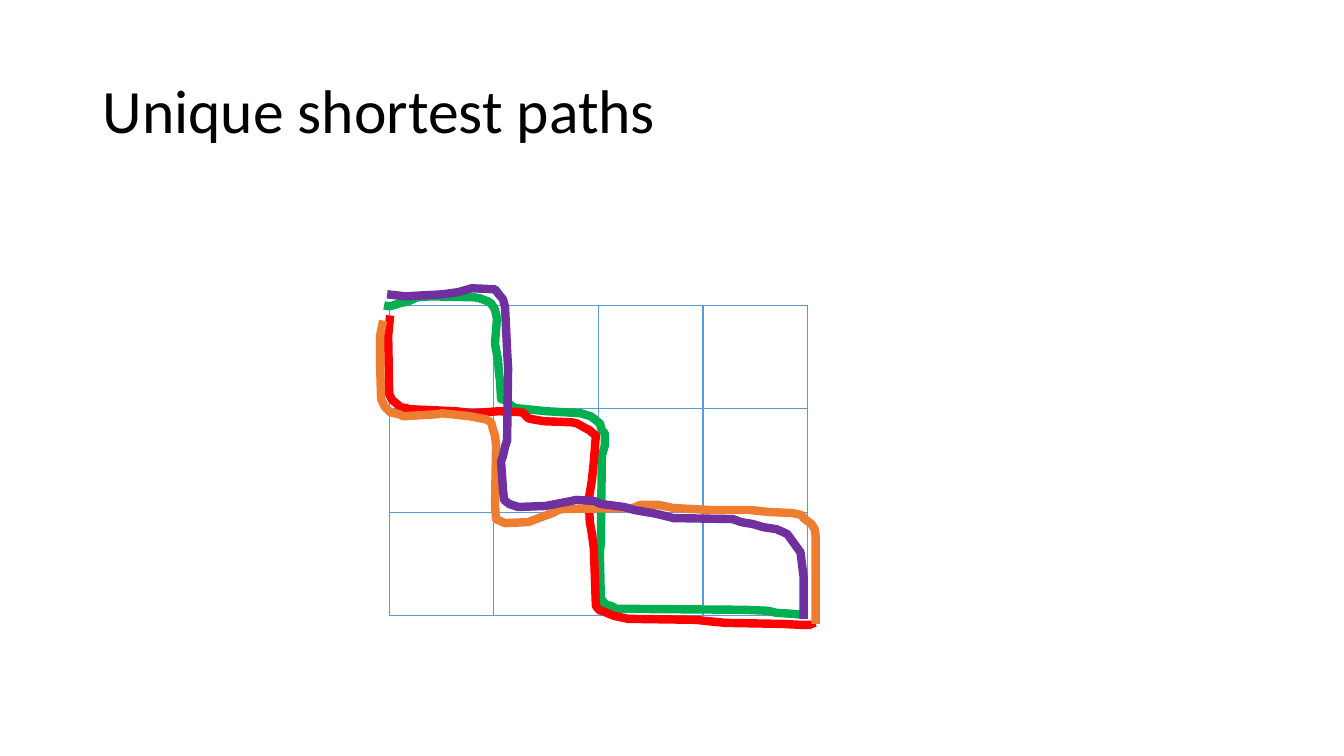
from dataclasses import dataclass

from lxml import etree
from pptx import Presentation
from pptx import util as u
from pptx.dml.color import RGBColor
from pptx.enum import text
from pptx.oxml.ns import qn


@dataclass(frozen=True)
class Theme:
    font: str = "Calibri"
    title_size: int = 44
    ink: str = "000000"
    grid: str = "5B9BD5"
    grid_width: int = 1
    path_width: int = 6
    green: str = "00B050"
    red: str = "FF0000"
    orange: str = "ED7D31"
    purple: str = "7030A0"


NO_STYLE = "{2D5ABB26-0587-4C30-8999-92F81FD0307C}"

GREEN_ROUTE = [
    (3.81, 3.03), (3.86, 3.04), (3.9, 3.03), (3.96, 3.01), (4.05, 2.99),
    (4.14, 2.95), (4.27, 2.94), (4.71, 2.95), (4.76, 2.96), (4.84, 2.99),
    (4.87, 3.01), (4.91, 3.07), (4.93, 3.16), (4.91, 3.41), (4.94, 3.57),
    (4.95, 3.71), (4.96, 3.77), (4.97, 3.96), (5.01, 3.97), (5.09, 4.04),
    (5.13, 4.05), (5.42, 4.08), (5.76, 4.1), (5.86, 4.13), (5.95, 4.2),
    (5.97, 4.27), (6, 4.3), (6, 4.42), (5.97, 4.52), (5.96, 5.39),
    (5.95, 5.48), (5.96, 5.94), (6.01, 6), (6.06, 6.01), (6.11, 6.04),
    (7.38, 6.05), (7.62, 6.06), (7.7, 6.08), (7.86, 6.09), (7.97, 6.1)]
RED_ROUTE = [
    (3.87, 3.13), (3.86, 3.23), (3.85, 3.33), (3.86, 3.91), (3.89, 3.97),
    (3.94, 4.01), (3.97, 4.04), (4.03, 4.05), (4.06, 4.06), (4.52, 4.08),
    (4.68, 4.1), (4.95, 4.08), (5.18, 4.09), (5.24, 4.15), (5.28, 4.16),
    (5.4, 4.18), (5.67, 4.19), (5.72, 4.2), (5.81, 4.25), (5.85, 4.27),
    (5.87, 4.29), (5.91, 4.32), (5.89, 4.58), (5.87, 4.77), (5.84, 4.95),
    (5.85, 5.18), (5.87, 5.29), (5.89, 5.44), (5.91, 6.01), (5.94, 6.05),
    (5.97, 6.06), (6.04, 6.09), (6.09, 6.11), (6.23, 6.14), (6.91, 6.15),
    (6.99, 6.16), (7.2, 6.18), (7.75, 6.19), (7.95, 6.2), (8.05, 6.2),
    (8.06, 6.23)]
ORANGE_ROUTE = [
    (3.8, 3.18), (3.77, 3.33), (3.77, 3.63), (3.78, 3.96), (3.8, 4),
    (3.82, 4.04), (3.87, 4.09), (3.96, 4.11), (4, 4.13), (4.33, 4.11),
    (4.38, 4.1), (4.66, 4.13), (4.82, 4.16), (4.87, 4.19), (4.91, 4.33),
    (4.92, 4.41), (4.91, 5.01), (4.92, 5.15), (5.01, 5.19), (5.24, 5.18),
    (5.37, 5.13), (5.48, 5.09), (5.54, 5.06), (5.58, 5.05), (6.28, 5.04),
    (6.35, 5.01), (6.53, 5.01), (6.68, 5.04), (7.04, 5.06), (7.44, 5.06),
    (7.63, 5.08), (7.86, 5.09), (7.95, 5.11), (7.97, 5.14), (8.05, 5.2),
    (8.08, 5.25), (8.09, 5.32), (8.09, 6.19)]
PURPLE_ROUTE = [
    (3.84, 2.92), (4.02, 2.94), (4.39, 2.92), (4.46, 2.91), (4.54, 2.9),
    (4.68, 2.86), (4.91, 2.87), (4.94, 2.91), (4.99, 2.97), (5.01, 3.05),
    (5.03, 3.48), (5.04, 3.65), (5.03, 4.37), (5.01, 4.43), (4.99, 4.52),
    (4.97, 4.58), (4.99, 4.87), (5, 4.96), (5.05, 5), (5.14, 5.03),
    (5.41, 5.02), (5.67, 4.97), (5.71, 4.96), (5.89, 4.97), (5.96, 5),
    (6.19, 5.03), (6.29, 5.06), (6.47, 5.09), (6.52, 5.1), (6.68, 5.14),
    (7.27, 5.15), (7.35, 5.18), (7.47, 5.2), (7.57, 5.23), (7.7, 5.25),
    (7.77, 5.28), (7.81, 5.3), (7.89, 5.41), (7.94, 5.48), (7.97, 5.72),
    (7.97, 6.14)]


class Board:
    def __init__(self, slide, theme):
        self.s = slide
        self.theme = theme

    def title(self, words, left, top, width, height):
        sp = self.s.shapes.add_textbox(*map(u.Inches, (left, top, width, height)))
        tf = sp.text_frame
        tf.word_wrap = True
        tf.vertical_anchor = text.MSO_ANCHOR.MIDDLE
        p = tf.paragraphs[0]
        p.text = words
        p.line_spacing = 0.9
        p.font.name = self.theme.font
        p.font.size = u.Pt(self.theme.title_size)
        p.font.color.rgb = RGBColor.from_string(self.theme.ink)

    def borders(self, cell, sides):
        """Rule the given sides, named by L, R, T and B in that order."""
        tcPr = cell._tc.get_or_add_tcPr()
        for i, side in enumerate(sides):
            ln = etree.Element(qn(f"a:ln{side}"), w=str(u.Pt(self.theme.grid_width)))
            fill = etree.SubElement(ln, qn("a:solidFill"))
            etree.SubElement(fill, qn("a:srgbClr"), val=self.theme.grid)
            tcPr.insert(i, ln)

    def grid(self, rows, cols, left, top, width, height):
        """Draw a table whose first row and last column stay open."""
        frame = self.s.shapes.add_table(
            rows, cols, *map(u.Inches, (left, top, width, height)))
        tbl = frame.table
        tbl.first_row = tbl.horz_banding = False
        tbl._tbl.tblPr.find(qn("a:tableStyleId")).text = NO_STYLE
        for row in range(rows):
            for col in range(cols):
                cell = tbl.cell(row, col)
                cell.fill.background()
                if col == cols - 1:
                    self.borders(cell, "L" if row else "")
                else:
                    self.borders(cell, "LRTB" if row else "B")

    def route(self, points, color):
        start, *rest = [(u.Inches(x), u.Inches(y)) for x, y in points]
        fb = self.s.shapes.build_freeform(*start)
        fb.add_line_segments(rest, close=False)
        sp = fb.convert_to_shape()
        sp.shadow.inherit = False
        sp.fill.background()
        sp.line.color.rgb = RGBColor.from_string(color)
        sp.line.width = u.Pt(self.theme.path_width)


def main():
    prs = Presentation()
    prs.slide_width, prs.slide_height = u.Inches(13.33), u.Inches(7.5)
    theme = Theme()
    board = Board(prs.slides.add_slide(prs.slide_layouts[6]), theme)
    board.title("Unique shortest paths", 0.92, 0.4, 11.5, 1.45)
    board.grid(4, 5, 3.86, 2, 5.19, 4.11)
    board.route(GREEN_ROUTE, theme.green)
    board.route(RED_ROUTE, theme.red)
    board.route(ORANGE_ROUTE, theme.orange)
    board.route(PURPLE_ROUTE, theme.purple)
    prs.save("out.pptx")


if __name__ == "__main__":
    main()
